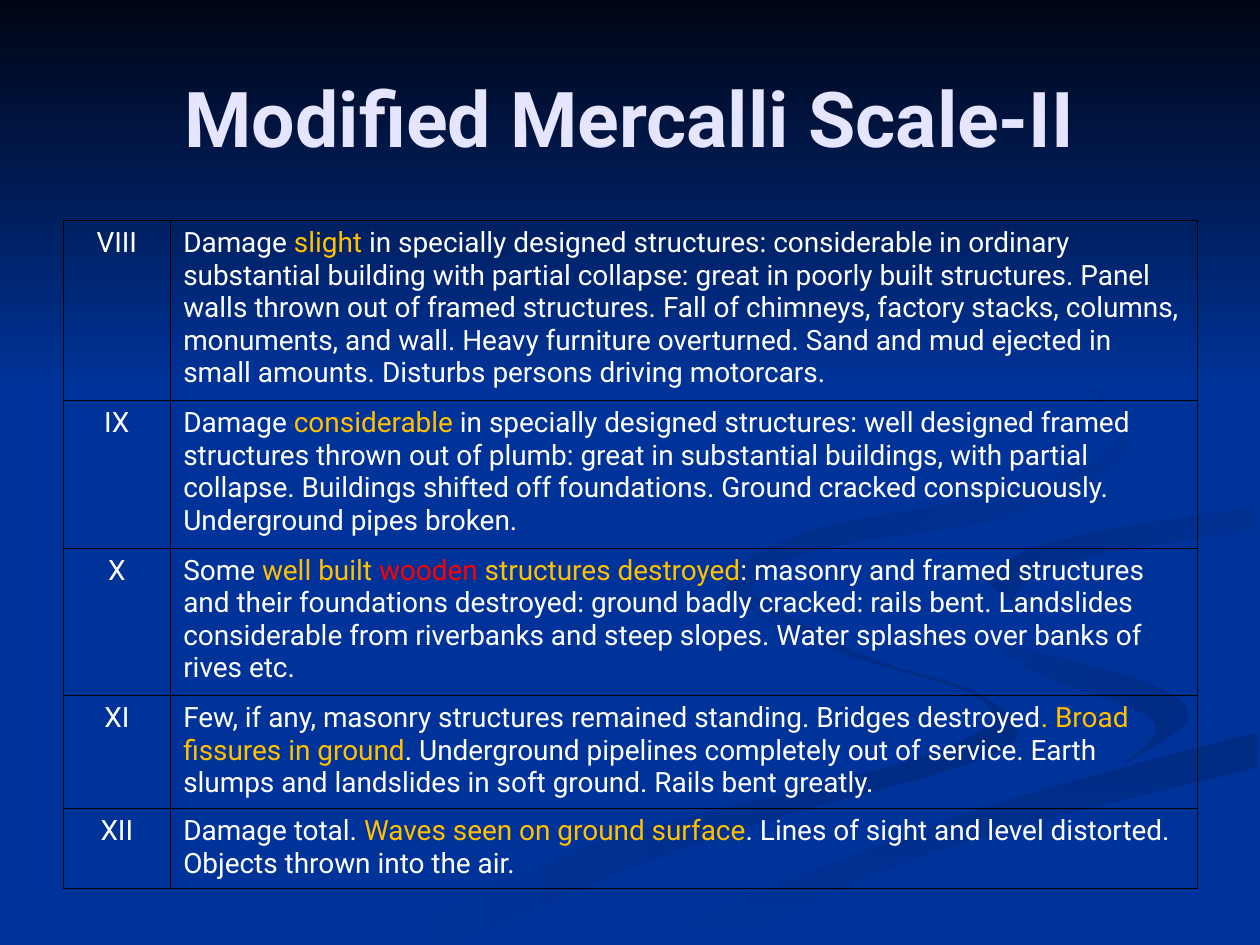
from dataclasses import dataclass

from lxml.etree import SubElement
from pptx import Presentation
from pptx.dml.color import RGBColor
from pptx.enum.shapes import MSO_SHAPE
from pptx.enum.text import MSO_ANCHOR, PP_ALIGN
from pptx.oxml.ns import qn
from pptx.util import Inches, Pt


@dataclass(frozen=True)
class Theme:
    font: str = "Roboto"
    title_size: int = 44
    body_size: int = 16
    border_width: float = 0.45
    background: str = "003399"
    night: str = "000514"
    shade: str = "002B82"
    title: str = "E5E5FF"
    body: str = "FFFFFF"
    key: str = "FFC000"
    alert: str = "FF0000"
    border: str = "000000"


THEME = Theme()
BLUE, SHADE = THEME.background, THEME.shade
BODY, KEY, ALERT = THEME.body, THEME.key, THEME.alert

# Column shares of the table width; row heights in inches
COLUMN_SHARES = (0.095, 0.905)
ROW_HEIGHTS = (1.43, 1.17, 1.17, 0.9, 0.63)

# Each intensity: its numeral and the coloured pieces of its description
INTENSITIES = [
    ("VIII", [
        ("Damage ", BODY), ("slight", KEY),
        (" in specially designed structures: considerable in ordinary substantial building "
         "with partial collapse: great in poorly built structures. Panel walls thrown out of "
         "framed structures. Fall of chimneys, factory stacks, columns, monuments, and wall. "
         "Heavy furniture overturned. Sand and mud ejected in small amounts. Disturbs persons "
         "driving motorcars.", BODY)]),
    ("IX", [
        ("Damage ", BODY), ("considerable", KEY),
        (" in specially designed structures: well designed framed structures thrown out of "
         "plumb: great in substantial buildings, with partial collapse. Buildings shifted off "
         "foundations. Ground cracked conspicuously. Underground pipes broken.", BODY)]),
    ("X", [
        ("Some ", BODY), ("well built ", KEY), ("wooden", ALERT),
        (" structures destroyed", KEY),
        (": masonry and framed structures and their foundations destroyed: ground badly "
         "cracked: rails bent. Landslides considerable from riverbanks and steep slopes. "
         "Water splashes over banks of rives etc.", BODY)]),
    ("XI", [
        ("Few, if any, masonry structures remained standing. Bridges destroyed", BODY),
        (". Broad fissures in ground", KEY),
        (". Underground pipelines completely out of service. Earth slumps and landslides in "
         "soft ground. Rails bent greatly.", BODY)]),
    ("XII", [
        ("Damage total. ", BODY), ("Waves seen on ground surface", KEY),
        (". Lines of sight and level distorted. Objects thrown into the air.", BODY)]),
]

# Background ribbons: first colour, last colour, angle, and the two edges
# (there and back) as knots in inches
RIBBONS = [
    (BLUE, SHADE, 0,
     [(5.75, 4.59), (6.82, 5.19), (7.81, 5.53), (7.91, 5.97), (5.64, 6.65), (3.61, 7.49)],
     [(3, 7.49), (4.58, 6.74), (7.39, 5.98), (7.81, 5.56), (6.54, 5.13), (5.75, 4.59)]),
    (BLUE, SHADE, 45,
     [(7.24, 4.64), (7.74, 5.03), (9.05, 5.4), (9.43, 5.7), (8.94, 6.05)],
     [(8.94, 6.05), (9.15, 5.71), (8.15, 5.3), (7.24, 4.64)]),
    (SHADE, BLUE, 90,
     [(5.71, 7.49), (7.52, 6.72), (9.98, 6.09)],
     [(9.98, 5.81), (7.64, 6.47), (5.03, 7.49)]),
    (SHADE, BLUE, 45,
     [(7.81, 4.6), (8.35, 4.3), (9.98, 4.02)],
     [(9.98, 4.2), (8.59, 4.43), (8.05, 4.72), (8.26, 4.96)]),
    (SHADE, BLUE, 45,
     [(7.62, 2.33), (8.94, 3.44), (8.07, 4.07), (6.49, 4.36), (5.93, 4.7), (6.22, 5)],
     [(6.22, 5), (5.77, 4.62), (6.49, 4.2), (8.18, 3.86), (8.89, 3.35), (7.62, 2.33)]),
]


def smooth_edge(knots, steps=6):
    """Points of a Catmull-Rom curve through the knots."""
    padded = [knots[0], *knots, knots[-1]]
    points = []
    for before, start, end, after in zip(padded, padded[1:], padded[2:], padded[3:]):
        for step in range(steps):
            t = step / steps
            points.append(tuple(
                b + t * (c - a + t * (2 * a - 5 * b + 4 * c - d + t * (3 * (b - c) + d - a))) / 2
                if t else b
                for a, b, c, d in zip(before, start, end, after)))
    return points + [knots[-1]]


def paint(shape, first, last, angle):
    """Fill with a two-colour gradient at a clockwise angle; no line, no shadow."""
    shape.fill.gradient()
    shape.fill.gradient_angle = (360 - angle) % 360
    for stop, colour in zip(shape.fill.gradient_stops, (first, last)):
        stop.color.rgb = RGBColor.from_string(colour)
    shape.line.fill.background()
    shape.shadow.inherit = False


def style_run(run, size, colour, bold=False):
    run.font.name = THEME.font
    run.font.size = Pt(size)
    run.font.bold = bold
    run.font.color.rgb = RGBColor.from_string(colour)


def add_backdrop(slide, width, height):
    slide.background.fill.solid()
    slide.background.fill.fore_color.rgb = RGBColor.from_string(BLUE)
    backdrop = slide.shapes.add_group_shape().shapes
    for first, last, angle, there, back in RIBBONS:
        outline = [(Inches(x), Inches(y)) for x, y in smooth_edge(there) + smooth_edge(back)]
        builder = backdrop.build_freeform(*outline[0])
        builder.add_line_segments(outline[1:], close=True)
        paint(builder.convert_to_shape(), first, last, angle)
    sky = backdrop.add_shape(MSO_SHAPE.RECTANGLE, 0, 0, width, int(height * 0.41))
    paint(sky, THEME.night, BLUE, 90)


def add_title(slide, text, left, width):
    title = slide.shapes.title
    title.left, title.top, title.width, title.height = left, Inches(0.3), width, Inches(1.25)
    title.text_frame.text = text
    title.text_frame.vertical_anchor = MSO_ANCHOR.MIDDLE
    heading = title.text_frame.paragraphs[0]
    heading.alignment = PP_ALIGN.CENTER
    style_run(heading.runs[0], THEME.title_size, THEME.title, bold=True)
    # Bring the title in front of the backdrop
    title.element.getparent().append(title.element)


def add_borders(cell):
    properties = cell._tc.get_or_add_tcPr()
    for side in ("a:lnL", "a:lnR", "a:lnT", "a:lnB"):
        edge = SubElement(properties, qn(side), w=str(int(Pt(THEME.border_width))))
        SubElement(SubElement(edge, qn("a:solidFill")), qn("a:srgbClr"), val=THEME.border)


def fill_cell(cell, pieces, alignment):
    add_borders(cell)
    cell.fill.background()
    paragraph = cell.text_frame.paragraphs[0]
    paragraph.alignment = alignment
    for text, colour in pieces:
        run = paragraph.add_run()
        run.text = text
        style_run(run, THEME.body_size, colour)


def add_scale_table(slide, left, width):
    scale = slide.shapes.add_table(len(INTENSITIES), len(COLUMN_SHARES), left, Inches(1.75),
                                   width, Inches(sum(ROW_HEIGHTS))).table
    scale.first_row = scale.horz_banding = False
    for column, share in zip(scale.columns, COLUMN_SHARES):
        column.width = int(width * share)
    for row, height, (numeral, description) in zip(scale.rows, ROW_HEIGHTS, INTENSITIES):
        row.height = Inches(height)
        fill_cell(row.cells[0], [(numeral, BODY)], PP_ALIGN.CENTER)
        fill_cell(row.cells[1], description, PP_ALIGN.LEFT)


def main():
    deck = Presentation()
    deck.slide_width, deck.slide_height = Inches(10), Inches(7.5)
    slide = deck.slides.add_slide(deck.slide_layouts[5])
    margin = int(deck.slide_width * 0.05)
    content_width = deck.slide_width - 2 * margin
    add_backdrop(slide, deck.slide_width, deck.slide_height)
    add_title(slide, "Modified Mercalli Scale-II", margin, content_width)
    add_scale_table(slide, margin, content_width)
    deck.save("out.pptx")


if __name__ == "__main__":
    main()
